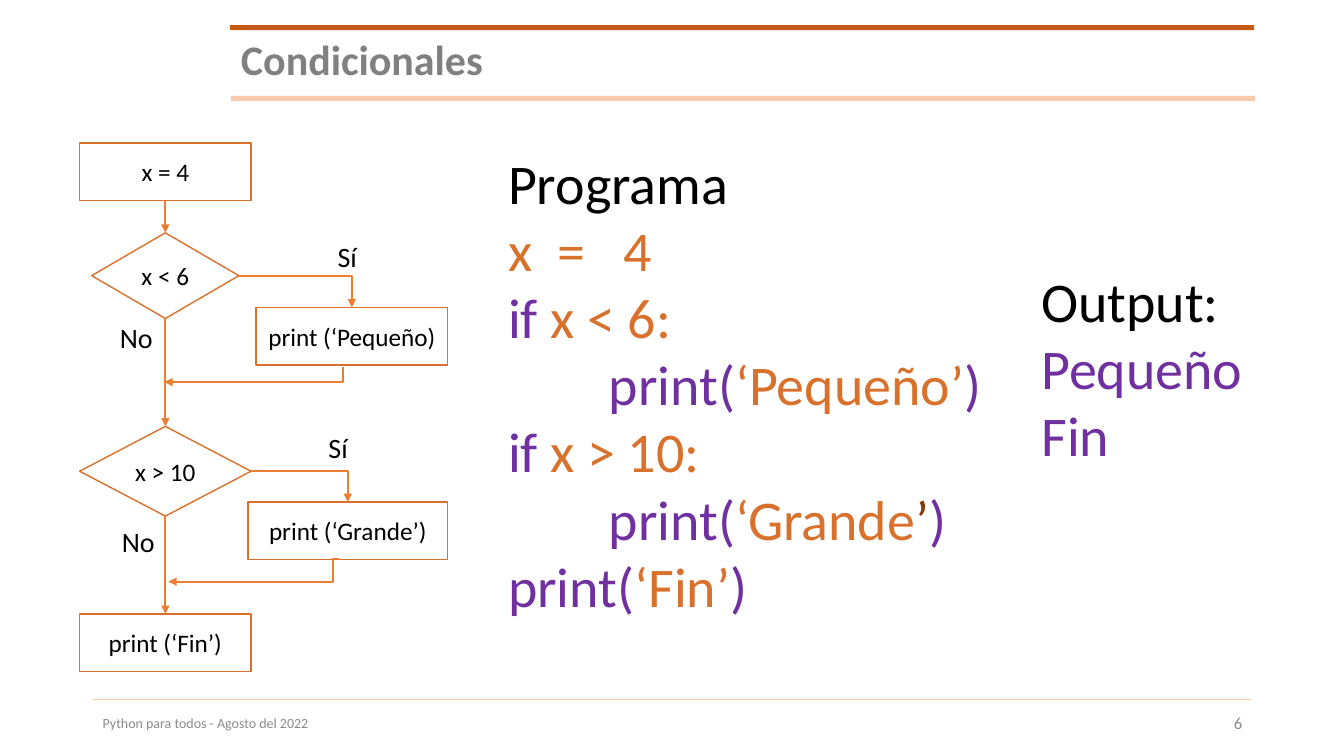
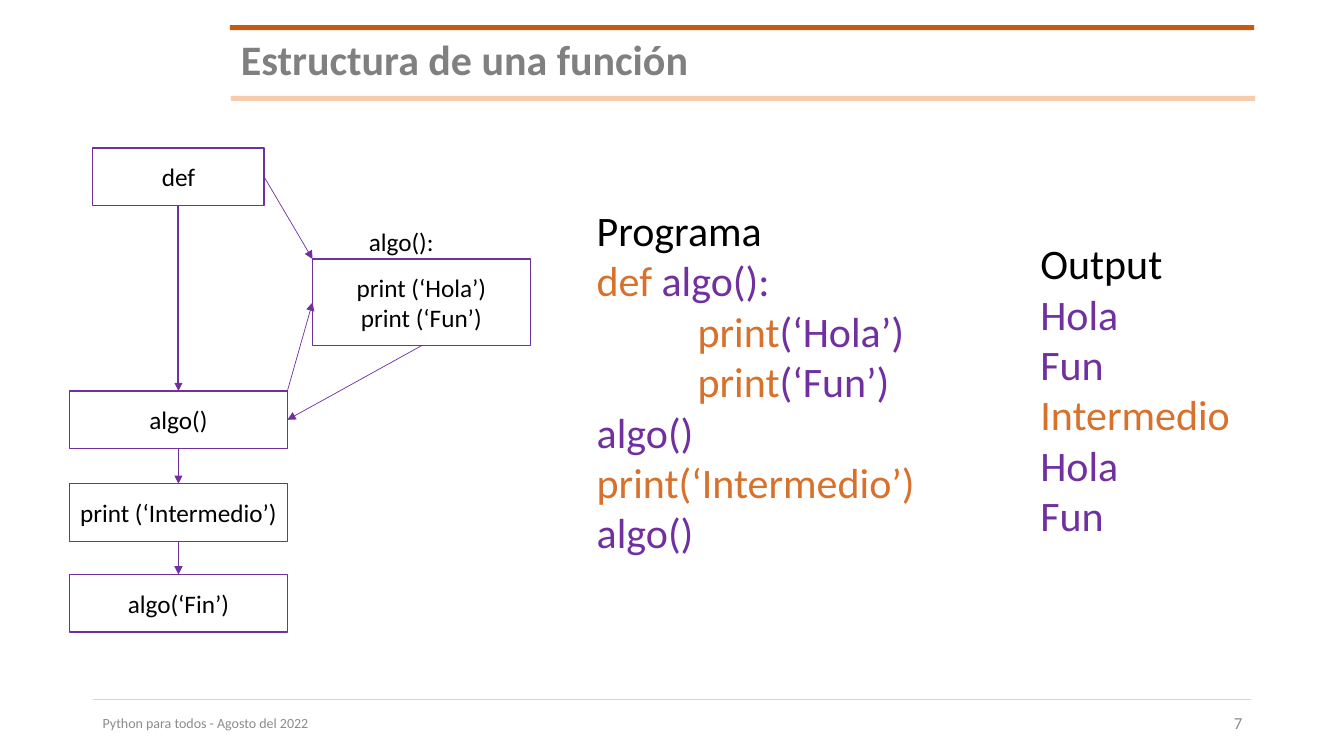
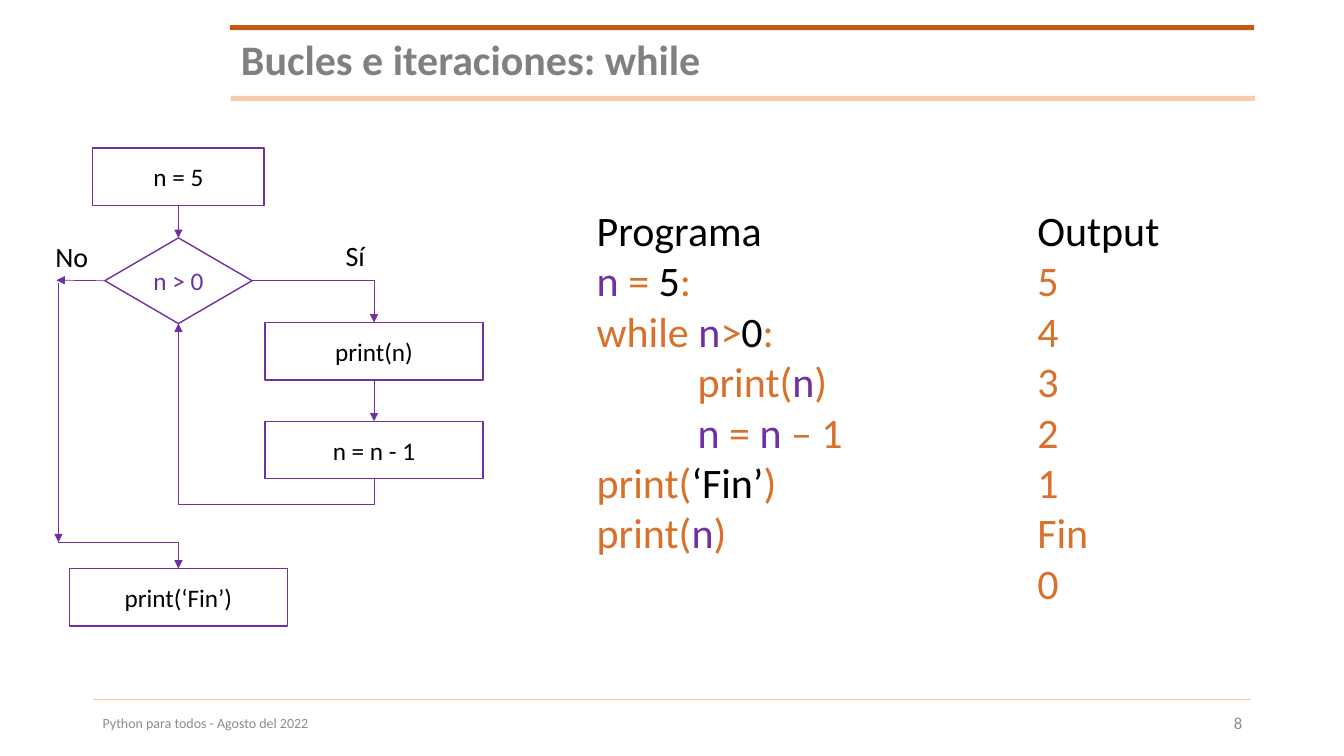
from lxml.etree import SubElement
from pptx import Presentation
from pptx.dml.color import RGBColor
from pptx.enum.shapes import MSO_CONNECTOR, MSO_SHAPE
from pptx.enum.text import MSO_ANCHOR, MSO_AUTO_SIZE, PP_ALIGN
from pptx.oxml.ns import qn
from pptx.util import Inches, Pt

FONT = "Calibri"
BLACK, WHITE, PURPLE, ORANGE = "000000", "FFFFFF", "7030A0", "D7712B"
ARROW_ORANGE, BROWN = "ED7D31", "843C0C"
TITLE_GREY, FOOTER_GREY = "808080", "8C8C8C"
BAND_DARK, BAND_LIGHT, FOOTER_LINE = "C55A11", "F8CBAD", "FFCC99"
FOOTER_TEXT = "Python para todos - Agosto del 2022"
INDENT = Inches(1)
BOX_HEIGHT = 0.57


def color(value):
    return RGBColor.from_string(value)


class Deck:
    """Holds the style, the presentation and the current page."""

    def __init__(self):
        self.deck = Presentation()
        self.deck.slide_width = Inches(13.33)
        self.deck.slide_height = Inches(7.5)
        self.page = None
        self.outline = BLACK
        self.arrow_color = BLACK
        self.arrow_width = 1

    def new_page(self, title, number, outline, arrow_color, arrow_width):
        self.page = self.deck.slides.add_slide(self.deck.slide_layouts[5])
        self.outline = outline
        self.arrow_color, self.arrow_width = arrow_color, arrow_width

        # Bands around the title and line above the footer
        self.band(2.28, 0.25, BAND_DARK)
        self.band(2.29, 0.95, BAND_LIGHT)
        self.line((0.92, 6.94), (12.41, 6.94), FOOTER_LINE, 0.5)

        # Title
        box = self.page.shapes.title
        box.left, box.top = Inches(2.29), Inches(0.33)
        box.width, box.height = Inches(10.12), Inches(0.57)
        box.fill.solid()
        box.fill.fore_color.rgb = color(WHITE)
        frame = box.text_frame
        frame.auto_size = MSO_AUTO_SIZE.NONE
        frame.vertical_anchor = MSO_ANCHOR.MIDDLE
        para = frame.paragraphs[0]
        para.alignment = PP_ALIGN.LEFT
        para.line_spacing = 0.9
        self.span(para, title, 30, TITLE_GREY, bold=True)

        # Footer
        self.footer(0.92, 8.5, FOOTER_TEXT, 10, PP_ALIGN.LEFT)
        self.footer(9.42, 3, str(number), 12, PP_ALIGN.RIGHT)

    def span(self, para, text, size, ink, bold=False):
        span = para.add_run()
        span.text = text
        span.font.name = FONT
        span.font.size = Pt(size)
        span.font.bold = bold
        span.font.color.rgb = color(ink)

    def shape(self, kind, left, top, width, height, fill):
        shape = self.page.shapes.add_shape(
            kind, Inches(left), Inches(top), Inches(width), Inches(height))
        shape.shadow.inherit = False
        shape.fill.solid()
        shape.fill.fore_color.rgb = color(fill)
        return shape

    def band(self, left, top, fill):
        self.shape(MSO_SHAPE.RECTANGLE, left, top, 10.16, 0.05, fill).line.fill.background()

    def text_box(self, left, top, width, height):
        box = self.page.shapes.add_textbox(
            Inches(left), Inches(top), Inches(width), Inches(height))
        box.text_frame.word_wrap = True
        return box.text_frame

    def footer(self, left, width, text, size, alignment):
        frame = self.text_box(left, 6.98, width, 0.39)
        frame.vertical_anchor = MSO_ANCHOR.MIDDLE
        frame.paragraphs[0].alignment = alignment
        self.span(frame.paragraphs[0], text, size, FOOTER_GREY)

    def listing(self, left, top, width, height, size, lines):
        """Each line is a list of (text, colour); a leading None indents it."""
        frame = self.text_box(left, top, width, height)
        frame.auto_size = MSO_AUTO_SIZE.SHAPE_TO_FIT_TEXT
        for index, line in enumerate(lines):
            para = frame.add_paragraph() if index else frame.paragraphs[0]
            if line[0] is None:
                properties = para._p.get_or_add_pPr()
                properties.set("marL", str(INDENT))
                properties.set("indent", "0")
                line = line[1:]
            for text, ink in line:
                self.span(para, text, size, ink)

    def label(self, left, top, text):
        self.listing(left, top, 0.6, 0.44, 20, [[(text, BLACK)]])

    def node(self, left, top, width, text, height=BOX_HEIGHT,
             kind=MSO_SHAPE.RECTANGLE, ink=BLACK):
        node = self.shape(kind, left, top, width, height, WHITE)
        node.line.color.rgb = color(self.outline)
        node.line.width = Pt(1)
        frame = node.text_frame
        frame.word_wrap = False
        frame.vertical_anchor = MSO_ANCHOR.MIDDLE
        for index, line in enumerate(text.split("\n")):
            para = frame.add_paragraph() if index else frame.paragraphs[0]
            para.alignment = PP_ALIGN.CENTER
            self.span(para, line, 18, ink)
        return node

    def decision(self, left, top, width, text, height=0.85, ink=BLACK):
        return self.node(left, top, width, text, height,
                         MSO_SHAPE.FLOWCHART_DECISION, ink)

    def line(self, start, end, ink, width, kind=MSO_CONNECTOR.STRAIGHT):
        """Each end is a point (x, y) or a joined side (node, side)."""
        line = self.page.shapes.add_connector(kind, 0, 0, 0, 0)
        if hasattr(start[0], "shape_id"):
            line.begin_connect(*start)
        else:
            line.begin_x, line.begin_y = map(Inches, start)
        if hasattr(end[0], "shape_id"):
            line.end_connect(*end)
        else:
            line.end_x, line.end_y = map(Inches, end)
        line.line.color.rgb = color(ink)
        line.line.width = Pt(width)
        SubElement(line.element.spPr, qn("a:effectLst"))
        return line

    def add_head(self, line):
        SubElement(line.get_or_add_ln(), qn("a:tailEnd")).set("type", "triangle")

    def arrow(self, start, end, width=None):
        self.add_head(self.line(start, end, self.arrow_color, width or self.arrow_width))

    def elbow(self, start, end):
        """One-bend arrow between two joined sides."""
        elbow = self.line(start, end, self.arrow_color, self.arrow_width,
                          MSO_CONNECTOR.ELBOW)
        elbow.element.spPr.find(qn("a:prstGeom")).set("prst", "bentConnector2")
        self.add_head(elbow)

    def route(self, *points):
        """Open arrow through fixed points."""
        (start, *rest) = [(Inches(x), Inches(y)) for x, y in points]
        builder = self.page.shapes.build_freeform(*start)
        builder.add_line_segments(rest, close=False)
        route = builder.convert_to_shape()
        route.shadow.inherit = False
        route.fill.background()
        route.line.color.rgb = color(self.arrow_color)
        route.line.width = Pt(self.arrow_width)
        self.add_head(route)

    def chain(self, *nodes):
        """Arrows from the bottom of each node to the top of the next."""
        for upper, lower in zip(nodes, nodes[1:]):
            self.arrow((upper, 2), (lower, 0))


TOP, LEFT, BOTTOM, RIGHT = range(4)


def conditionals(deck):
    deck.new_page("Condicionales", 6, ORANGE, ARROW_ORANGE, 1.5)

    # Program and output
    deck.listing(4.94, 1.42, 5.09, 4.81, 40, [
        [("Programa", BLACK)],
        [("x  =   4", ORANGE)],
        [("if ", PURPLE), ("x < 6:", ORANGE)],
        [None, ("print(", PURPLE), ("‘Pequeño’", ORANGE), (")", PURPLE)],
        [("if ", PURPLE), ("x > 10:", ORANGE)],
        [None, ("print(", PURPLE), ("‘Grande", ORANGE), ("’", BROWN), (")", PURPLE)],
        [("print(", PURPLE), ("‘Fin’", ORANGE), (")", PURPLE)],
    ])
    deck.listing(10.23, 2.59, 2.37, 2.12, 40, [
        [("Output:", BLACK)], [("Pequeño", PURPLE)], [("Fin", PURPLE)]])

    # Flow chart
    start = deck.node(0.79, 1.42, 1.7, "x = 4")
    below_six = deck.decision(0.91, 2.31, 1.46, "x < 6")
    above_ten = deck.decision(0.79, 4.23, 1.7, "x > 10", 0.89)
    small = deck.node(2.54, 3.05, 1.9, "print (‘Pequeño)")
    large = deck.node(2.46, 4.98, 1.98, "print (‘Grande’)")
    finish = deck.node(0.79, 6.09, 1.7, "print (‘Fin’)")
    deck.chain(start, below_six, above_ten, finish)
    deck.elbow((below_six, RIGHT), (small, TOP))
    deck.elbow((above_ten, RIGHT), (large, TOP))
    deck.route((3.36, 5.55), (3.3, 5.55), (3.3, 5.77), (1.67, 5.77))
    deck.route((3.4, 3.64), (3.4, 3.79), (1.63, 3.79))
    for left, top, text in ((3.25, 2.33, "Sí"), (3.16, 4.22, "Sí"),
                            (1.09, 3.13, "No"), (1.11, 5.15, "No")):
        deck.label(left, top, text)


def function_structure(deck):
    deck.new_page("Estructura de una función", 7, PURPLE, PURPLE, 0.5)

    # Program and output
    deck.listing(5.82, 1.98, 3.36, 3.64, 30, [
        [("Programa", BLACK)],
        [("def ", ORANGE), ("algo():", PURPLE)],
        [None, ("print", ORANGE), ("(‘Hola’)", PURPLE)],
        [None, ("print", ORANGE), ("(‘Fun’)", PURPLE)],
        [("algo()", PURPLE)],
        [("print(‘Intermedio’)", ORANGE)],
        [("algo()", PURPLE)],
    ])
    deck.listing(10.22, 2.31, 2.13, 3.13, 30, [
        [("Output", BLACK)], [("Hola", PURPLE)], [("Fun", PURPLE)],
        [("Intermedio", ORANGE)], [("Hola", PURPLE)], [("Fun", PURPLE)]])

    # Flow chart
    definition = deck.node(0.92, 1.47, 1.7, "def")
    body = deck.node(3.1, 2.57, 2.16, "print (‘Hola’)\nprint (‘Fun’)", 0.86)
    call = deck.node(0.69, 3.88, 2.16, "algo()")
    middle = deck.node(0.69, 4.8, 2.16, "print (‘Intermedio’)")
    finish = deck.node(0.69, 5.7, 2.16, "algo(‘Fin’)")
    deck.listing(3.56, 2.2, 1.23, 0.4, 18, [[("algo():", BLACK)]])
    deck.arrow((definition, BOTTOM), (call, TOP), 1.5)
    deck.chain(call, middle, finish)
    deck.arrow((definition, RIGHT), (3.1, 2.57))
    deck.arrow((2.85, 3.88), (body, LEFT))
    deck.arrow((body, BOTTOM), (call, RIGHT))


def while_loop(deck):
    deck.new_page("Bucles e iteraciones: while", 8, PURPLE, PURPLE, 0.5)

    # Program and output
    deck.listing(5.82, 1.98, 3.36, 3.64, 30, [
        [("Programa", BLACK)],
        [("n", PURPLE), (" = ", ORANGE), ("5", BLACK), (":", ORANGE)],
        [("while ", ORANGE), ("n", PURPLE), (">", ORANGE), ("0", BLACK), (":", ORANGE)],
        [None, ("print(", ORANGE), ("n", PURPLE), (")", ORANGE)],
        [None, ("n", PURPLE), (" = ", ORANGE), ("n", PURPLE), (" – 1", ORANGE)],
        [("print(", ORANGE), ("‘Fin’", BLACK), (")", ORANGE)],
        [("print(", ORANGE), ("n", PURPLE), (")", ORANGE)],
    ])
    results = ("5", "4", "3", "2", "1", "Fin", "0")
    deck.listing(10.19, 1.98, 2.13, 4.14, 30,
                 [[("Output", BLACK)]] + [[(result, ORANGE)] for result in results])

    # Flow chart
    start = deck.node(0.92, 1.47, 1.7, "n = 5")
    test = deck.decision(1.04, 2.36, 1.46, "n > 0", ink=PURPLE)
    show = deck.node(2.63, 3.2, 2.16, "print(n)")
    decrease = deck.node(2.63, 4.18, 2.16, "n = n - 1")
    deck.node(0.69, 5.64, 2.16, "print(‘Fin’)")
    deck.chain(start, test)
    deck.chain(show, decrease)
    deck.elbow((test, RIGHT), (show, TOP))
    deck.route((3.71, 4.75), (3.71, 5), (1.77, 5), (1.77, 3.21))
    deck.arrow((test, LEFT), (0.56, 2.78))
    deck.arrow((0.58, 2.81), (0.58, 5.38))
    deck.route((0.58, 5.38), (1.77, 5.38), (1.77, 5.64))
    deck.label(0.45, 2.33, "No")
    deck.label(3.33, 2.32, "Sí")


def main():
    deck = Deck()
    conditionals(deck)
    function_structure(deck)
    while_loop(deck)
    deck.deck.save("out.pptx")


if __name__ == "__main__":
    main()
